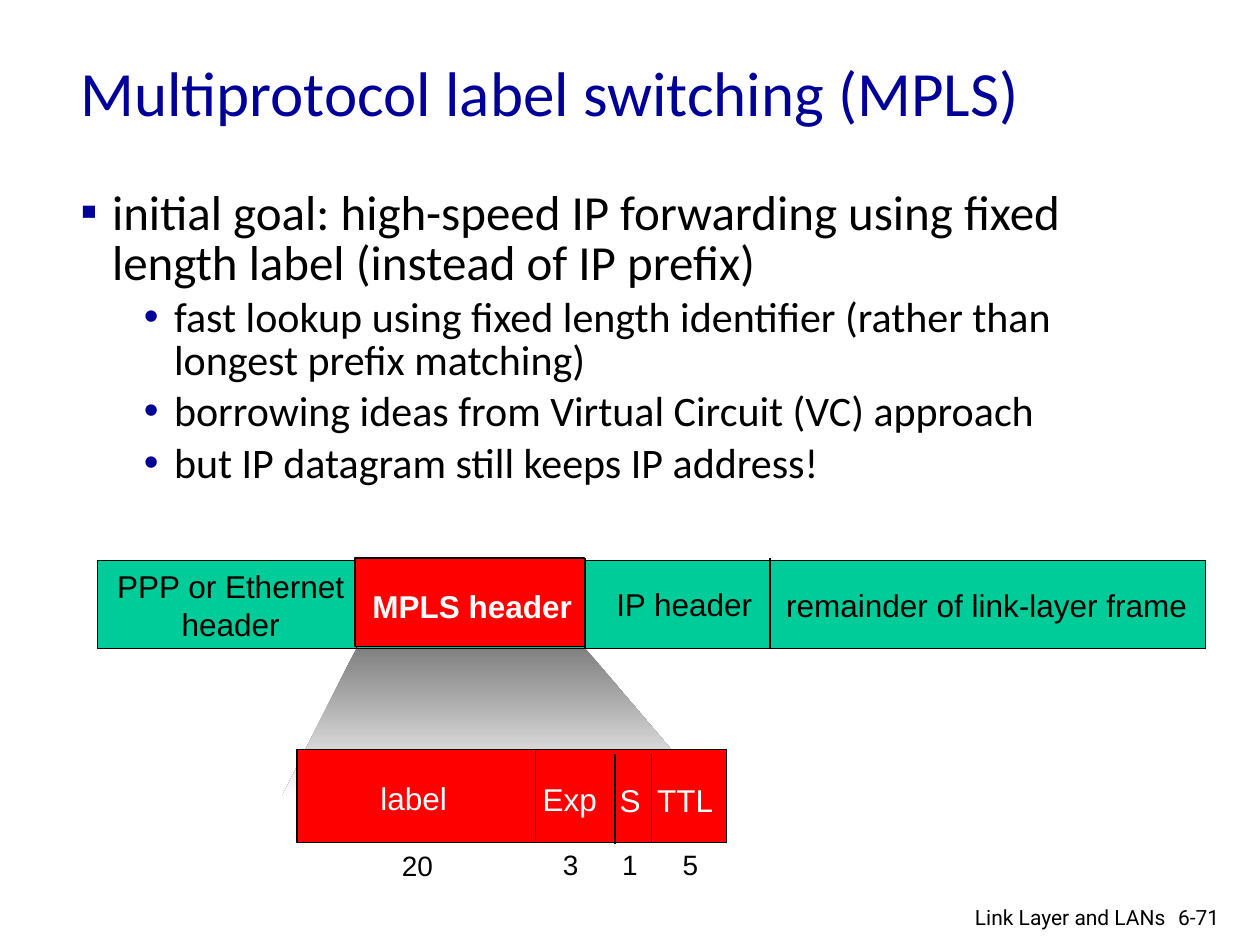
from lxml import etree
from pptx import Presentation
from pptx import util as u
from pptx.dml.color import RGBColor
from pptx.enum import shapes, text
from pptx.oxml import ns

COLORS = {"navy": "000099", "black": "000000", "white": "FFFFFF",
          "green": "00CC99", "red": "FF0000", "gray": "808080"}
RGB = {name: RGBColor.from_string(value) for name, value in COLORS.items()}
ALIGN = text.PP_ALIGN

deck = Presentation()
deck.slide_width, deck.slide_height = u.Cm(25.4), u.Cm(19.05)
page = deck.slides.add_slide(deck.slide_layouts[6])


def add_text(words, left, top, width, height, size=18, font="Arial", color="black",
             bold=False, align=ALIGN.LEFT, anchor=text.MSO_ANCHOR.TOP, wrap=False):
    """Add a text box with one paragraph for each line of words."""
    box = page.shapes.add_textbox(u.Cm(left), u.Cm(top), u.Cm(width), u.Cm(height))
    frame = box.text_frame
    frame.word_wrap, frame.vertical_anchor = wrap, anchor
    if not wrap:
        frame.auto_size = text.MSO_AUTO_SIZE.SHAPE_TO_FIT_TEXT
    frame.text = words
    for para in frame.paragraphs:
        para.alignment = align
        for span in para.runs:
            span.font.size, span.font.name, span.font.bold = u.Pt(size), font, bold
            span.font.color.rgb = RGB[color]
    return box


def add_bar(left, top, width, height, fill, dividers=()):
    """Add an outlined bar, then its field dividers as (x, top, bottom)."""
    bar = page.shapes.add_shape(shapes.MSO_SHAPE.RECTANGLE, u.Cm(left), u.Cm(top),
                                u.Cm(width), u.Cm(height))
    bar.shadow.inherit = False
    bar.fill.solid()
    bar.fill.fore_color.rgb = RGB[fill]
    outlines = [bar.line]
    for x, start, end in dividers:
        divider = page.shapes.add_connector(shapes.MSO_CONNECTOR.STRAIGHT, u.Cm(x),
                                            u.Cm(start), u.Cm(x), u.Cm(end))
        outlines.append(divider.line)
    for outline in outlines:
        outline.color.rgb = RGB["black"]
        outline.width = u.Pt(0.75)


# Title and bullets
add_text("Multiprotocol label switching (MPLS)", 1.37, 0.53, 21.59, 2.62, size=36,
         font="Calibri", color="navy", anchor=text.MSO_ANCHOR.MIDDLE, wrap=True)

bullets = [
    (0, "initial goal: high-speed IP forwarding using fixed length label (instead of IP prefix)"),
    (1, "fast lookup using fixed length identifier (rather than longest prefix matching)"),
    (1, "borrowing ideas from Virtual Circuit (VC) approach"),
    (1, "but IP datagram still keeps IP address!"),
]
# Per level: text size, left margin, hanging indent, bullet sign
levels = [(28, 0.64, -0.64, "▪"), (24, 1.89, -0.61, "•")]
body = add_text("\n".join(words for level, words in bullets), 1.37, 3.71, 21.59, 12.9,
                font="Calibri", wrap=True)
for para, (level, words) in zip(body.text_frame.paragraphs, bullets):
    size, margin, indent, sign = levels[level]
    para.level = level
    para.line_spacing = 0.85
    para.space_before = u.Pt(size * 0.2)
    para.runs[0].font.size = u.Pt(size)
    props = para._p.get_or_add_pPr()
    props.set("marL", str(u.Cm(margin)))
    props.set("indent", str(u.Cm(indent)))
    bullet_color = etree.SubElement(props, ns.qn("a:buClr"))
    etree.SubElement(bullet_color, ns.qn("a:srgbClr"), val=COLORS["navy"])
    etree.SubElement(props, ns.qn("a:buFont"), typeface="Arial")
    etree.SubElement(props, ns.qn("a:buChar"), char=sign)

# Shaded zoom from the MPLS header down to its fields
outline = page.shapes.build_freeform(u.Cm(7.19), u.Cm(13.06))
outline.add_line_segments([(u.Cm(x), u.Cm(y)) for x, y in
                           [(5.69, 16.05), (14.33, 16.05), (11.79, 13.06)]])
zoom = outline.convert_to_shape()
zoom.shadow.inherit = False
zoom.line.fill.background()
zoom.fill.gradient()
zoom.fill.gradient_angle = 270
for stop, name, position in zip(zoom.fill.gradient_stops, ("gray", "white"), (0, 1)):
    stop.color.rgb = RGB[name]
    stop.position = position

# Link-layer frame
add_bar(1.96, 11.3, 22.35, 1.78, "green",
        [(x, 11.25, 13.08) for x in (7.19, 11.79, 15.52)])
add_text("PPP or Ethernet\nheader", 2.01, 11.3, 5.28, 1.78, align=ALIGN.CENTER)
add_text("IP header", 12.17, 11.66, 3.25, 1.02, align=ALIGN.CENTER)
add_text("remainder of link-layer frame", 15.6, 11.68, 8.59, 1.02)
add_bar(7.16, 11.25, 4.62, 1.78, "red")
add_text("MPLS header", 7.12, 11.71, 4.8, 1.02, color="white", bold=True,
         align=ALIGN.CENTER)

# MPLS header fields, with their lengths in bits below
add_bar(5.99, 15.11, 8.66, 1.88, "red",
        [(10.8, 15.14, 16.94), (12.4, 15.19, 17.02), (13.13, 15.19, 16.99)])
fields = [("label", 7.42, 15.57, 1.85), ("Exp", 10.69, 15.6, 1.6),
          ("S", 12.24, 15.62, 0.94), ("TTL", 13, 15.62, 1.65)]
for name, left, top, width in fields:
    add_text(name, left, top, width, 1.02, color="white")
bits = [("20", 7.85, 16.99, 1.14), ("3", 11.1, 16.97, 0.81),
        ("1", 12.29, 16.97, 0.81), ("5", 13.51, 16.97, 0.81)]
for count, left, top, width in bits:
    add_text(count, left, top, width, 0.94, size=16)

# Footer
add_text("6-71", 23.5, 18.11, 1.52, 0.76, size=12, font="Roboto", wrap=True)
add_text("Link Layer and LANs", 17.7, 18.11, 6.05, 0.66, size=12, font="Roboto",
         align=ALIGN.RIGHT, wrap=True)

# Connectors carry a theme shadow unless their effect list is empty
for shape in page.shapes:
    if shape.shape_type == shapes.MSO_SHAPE_TYPE.LINE:
        etree.SubElement(shape._element.spPr, ns.qn("a:effectLst"))

deck.save("out.pptx")
